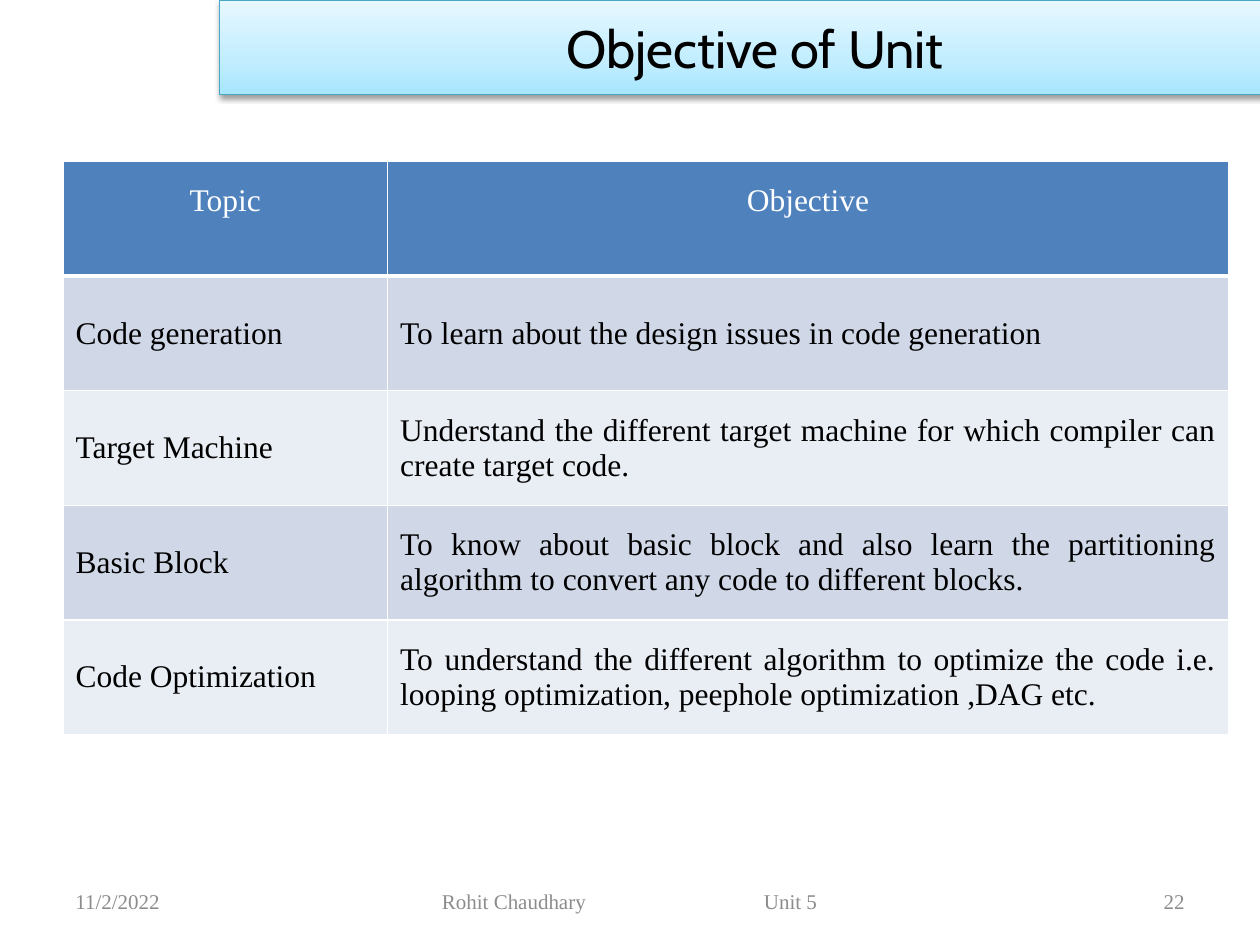
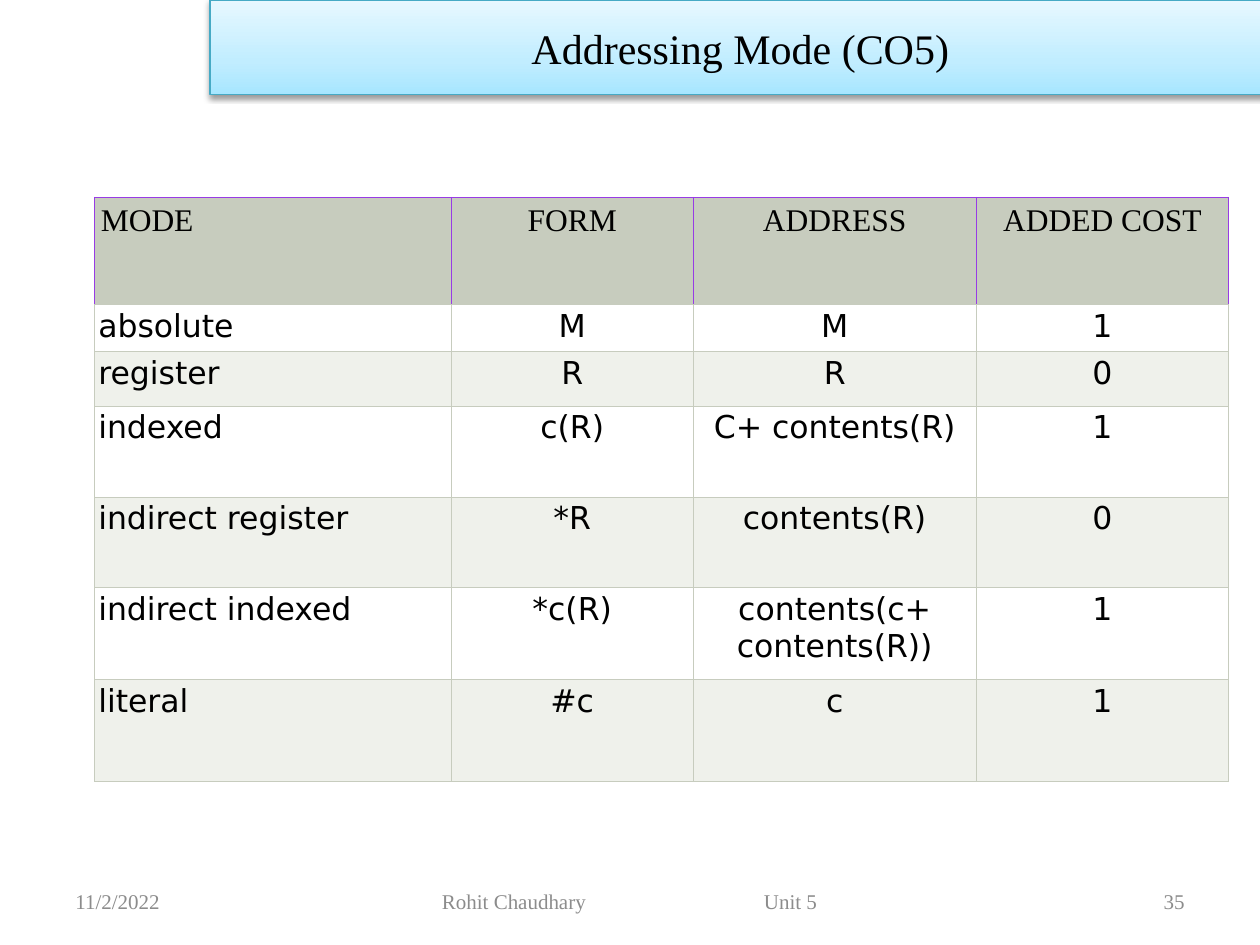
from dataclasses import dataclass

from lxml.etree import SubElement
from pptx import Presentation
from pptx.dml.color import RGBColor as RGB
from pptx.enum.text import MSO_ANCHOR as ANCHOR, PP_ALIGN as ALIGN
from pptx.oxml.ns import qn
from pptx.util import Pt


@dataclass(frozen=True)
class Theme:
    serif: str = "Times New Roman"
    sans: str = "DejaVu Sans"
    display: str = "Cabin"
    text: str = "000000"
    white: str = "FFFFFF"
    footer: str = "8C8C8C"
    band_line: str = "46AAC5"
    band_stops: tuple = ((0, "A7E6FF"), (35, "C1EDFF"), (100, "E7F8FF"))
    table_size: int = 18
    footer_size: int = 12


@dataclass(frozen=True)
class TableStyle:
    head_fill: str
    head_text: str
    bands: tuple
    body_font: str
    aligns: tuple
    head_aligns: tuple
    anchor: ANCHOR
    border: tuple
    head_border: tuple
    head_bottom: tuple
    head_margins: tuple
    body_margins: tuple


T = Theme()
L, C, R, J = ALIGN.LEFT, ALIGN.CENTER, ALIGN.RIGHT, ALIGN.JUSTIFY

OBJECTIVE_STYLE = TableStyle(
    head_fill="4F81BD", head_text=T.white, bands=("D0D8E8", "E9EDF4"),
    body_font=T.serif, aligns=(L, J), head_aligns=(C, C), anchor=ANCHOR.MIDDLE,
    border=(T.white, 1), head_border=(T.white, 1), head_bottom=(T.white, 3),
    head_margins=(7.2, 3.6, 7.2, 24.2), body_margins=(7.2, 3.6, 7.2, 3.6))

MODE_STYLE = TableStyle(
    head_fill="C7CCBE", head_text=T.text, bands=(T.white, "EFF1EB"),
    body_font=T.sans, aligns=(L, C, C, C), head_aligns=(L, C, C, C), anchor=ANCHOR.TOP,
    border=("C7CCBE", 0.5), head_border=("983BE5", 0.5), head_bottom=("C7CCBE", 0.5),
    head_margins=(3.6,) * 4, body_margins=(2.2,) * 4)

OBJECTIVES = (
    ("Topic", "Objective"),
    ("Code generation", "To learn about the design issues in code generation"),
    ("Target Machine", "Understand the different target machine for which compiler can "
                       "create target code."),
    ("Basic Block", "To know about basic block and also learn the partitioning algorithm "
                    "to convert any code to different blocks."),
    ("Code Optimization", "To understand the different algorithm to optimize the code i.e. "
                          "looping optimization, peephole optimization ,DAG etc."),
)

MODES = (
    ("MODE", "FORM", "ADDRESS", "ADDED COST"),
    ("absolute", "M", "M", "1"),
    ("register", "R", "R", "0"),
    ("indexed", "c(R)", "C+ contents(R)", "1"),
    ("indirect register", "*R", "contents(R)", "0"),
    ("indirect indexed", "*c(R)", "contents(c+ contents(R))", "1"),
    ("literal", "#c", "c", "1"),
)


def add_run(p, text, font, size, color, align):
    p.alignment = align
    r = p.add_run()
    r.text = text
    r.font.name, r.font.size, r.font.bold = font, Pt(size), False
    r.font.color.rgb = RGB.from_string(color)


def set_margins(holder, margins):
    (holder.margin_left, holder.margin_top,
     holder.margin_right, holder.margin_bottom) = map(Pt, margins)


def add_color(parent, color):
    return SubElement(parent, qn("a:srgbClr"), val=color)


def title_band(slide, box, text, font, size):
    sp = slide.shapes.title
    sp.left, sp.top, sp.width, sp.height = map(Pt, box)
    tf = sp.text_frame
    tf.word_wrap = True
    tf.vertical_anchor = ANCHOR.MIDDLE
    add_run(tf.paragraphs[0], text, font, size, T.text, C)

    props = sp.element.spPr
    gradient = SubElement(props, qn("a:gradFill"), rotWithShape="1")
    stops = SubElement(gradient, qn("a:gsLst"))
    for position, color in T.band_stops:
        add_color(SubElement(stops, qn("a:gs"), pos=str(position * 1000)), color)
    SubElement(gradient, qn("a:lin"), ang="16200000", scaled="0")
    sp.line.color.rgb = RGB.from_string(T.band_line)
    sp.line.width = Pt(0.75)
    effects = SubElement(props, qn("a:effectLst"))
    shadow = SubElement(effects, qn("a:outerShdw"), blurRad=str(Pt(3.1)),
                        dist=str(Pt(1.6)), dir="5400000", rotWithShape="0")
    SubElement(add_color(shadow, T.text), qn("a:alpha"), val="38000")


def footer(slide, box, number):
    left, top, width, height = box
    side, middle = 168, 396
    parts = (
        (0, side, "11/2/2022", L, 7.2),
        ((width - middle) / 2, middle, "Rohit Chaudhary\tUnit 5", L, 90.6),
        (width - side, side, number, R, 7.2),
    )
    for offset, part_width, text, align, inset in parts:
        s = slide.shapes.add_textbox(Pt(left + offset), Pt(top), Pt(part_width), Pt(height))
        tf = s.text_frame
        tf.word_wrap = True
        tf.vertical_anchor = ANCHOR.MIDDLE
        tf.margin_left = Pt(inset)
        p = tf.paragraphs[0]
        if "\t" in text:
            tabs = SubElement(p._p.get_or_add_pPr(), qn("a:tabLst"))
            SubElement(tabs, qn("a:tab"), pos=str(Pt(184)), algn="l")
        add_run(p, text, T.serif, T.footer_size, T.footer, align)


def set_borders(cell, sides):
    props = cell._tc.get_or_add_tcPr()
    for tag, (color, width) in zip(("lnL", "lnR", "lnT", "lnB"), sides):
        line = SubElement(props, qn(f"a:{tag}"), w=str(Pt(width)))
        add_color(SubElement(line, qn("a:solidFill")), color)


def styled_table(slide, box, rows, widths, heights, style):
    table = slide.shapes.add_table(len(rows), len(widths), *map(Pt, box)).table
    table.horz_banding = False
    for column, width in zip(table.columns, widths):
        column.width = Pt(width)
    for row, height in zip(table.rows, heights):
        row.height = Pt(height)

    for i, texts in enumerate(rows):
        head = i == 0
        edge = style.head_border if head else style.border
        top = style.head_bottom if i == 1 else edge
        bottom = style.head_bottom if head else edge
        fill = style.head_fill if head else style.bands[(i - 1) % 2]
        font = T.serif if head else style.body_font
        color = style.head_text if head else T.text
        aligns = style.head_aligns if head else style.aligns
        for j, text in enumerate(texts):
            cell = table.cell(i, j)
            cell.vertical_anchor = style.anchor
            set_margins(cell, style.head_margins if head else style.body_margins)
            set_borders(cell, (edge, edge, top, bottom))
            cell.fill.solid()
            cell.fill.fore_color.rgb = RGB.from_string(fill)
            add_run(cell.text_frame.paragraphs[0], text, font, T.table_size, color, aligns[j])


def table_slide(prs, title, title_font, title_size, band_left, number, **table):
    slide = prs.slides.add_slide(prs.slide_layouts[5])
    title_band(slide, (band_left, 0, 612, 54), title, title_font, title_size)
    styled_table(slide, **table)
    footer(slide, (36, 500.5, 648, 28.75), number)


def main():
    prs = Presentation()
    prs.slide_width, prs.slide_height = Pt(720), Pt(540)
    table_slide(prs, "Objective of Unit", T.display, 30, 125.5, "22",
                box=(36, 92.3, 666, 327.5), rows=OBJECTIVES, widths=(185.5, 480.5),
                heights=(65.5,) * 5, style=OBJECTIVE_STYLE)
    table_slide(prs, "Addressing Mode (CO5) ", T.serif, 24, 120, "35",
                box=(54, 112.8, 648, 333.6), rows=MODES, widths=(204, 138, 162, 144),
                heights=(61.2, 26.6, 31.4, 52, 52, 52.4, 58), style=MODE_STYLE)
    prs.save("out.pptx")


if __name__ == "__main__":
    main()
